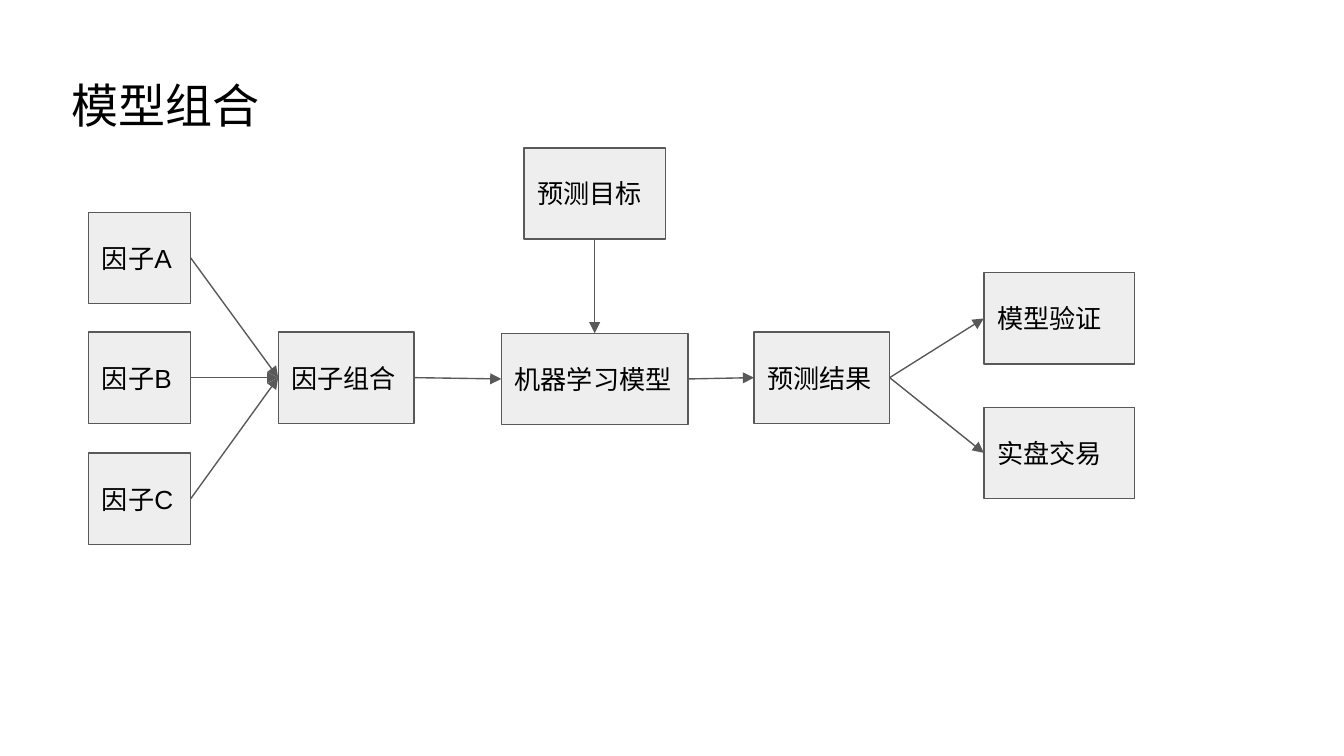
"""Build a slide showing how factors feed a machine learning model and its uses."""
from lxml import etree
from pptx import Presentation
from pptx import util as u
from pptx.dml.color import RGBColor
from pptx.enum import shapes, text
from pptx.oxml import ns

COLOURS = {"text": "000000", "fill": "EEEEEE", "line": "595959"}
BOX_HEIGHT = 0.68
TOP, LEFT, BOTTOM, RIGHT = range(4)


def write_text(shape, words, size, anchor):
    frame = shape.text_frame
    formats = {"word_wrap": True, "auto_size": text.MSO_AUTO_SIZE.NONE, "vertical_anchor": anchor}
    formats.update({f"margin_{side}": u.Inches(0.1) for side in ("left", "top", "right", "bottom")})
    for name, value in formats.items():
        setattr(frame, name, value)
    para = frame.paragraphs[0]
    para.alignment = text.PP_ALIGN.LEFT
    span = para.add_run()
    span.text = words
    for name, value in {"name": "Arial", "size": u.Pt(size)}.items():
        setattr(span.font, name, value)
    span.font.color.rgb = RGBColor.from_string(COLOURS["text"])


def draw_line(line):
    line.color.rgb = RGBColor.from_string(COLOURS["line"])
    line.width = u.Pt(0.75)


deck = Presentation()
deck.slide_width, deck.slide_height = u.Inches(10), u.Inches(10 * 9 / 16)
page = deck.slides.add_slide(deck.slide_layouts[5])

title = page.shapes.title
for name, value in {"left": 0.43, "top": 0.47, "width": 9.32, "height": 0.63}.items():
    setattr(title, name, u.Inches(value))
write_text(title, "模型组合", 25.2, text.MSO_ANCHOR.TOP)

nodes = [(f"因子{letter}", 0.66, top, 0.76) for letter, top in zip("ABC", (1.58, 2.47, 3.37))]
nodes += [
    ("因子组合", 2.07, 2.47, 1.01),
    ("机器学习模型", 3.73, 2.48, 1.39),
    ("预测目标", 3.9, 1.1, 1.05),
    ("预测结果", 5.61, 2.47, 1.01),
    ("模型验证", 7.32, 2.03, 1.12),
    ("实盘交易", 7.32, 3.03, 1.12),
]
boxes = {}
for words, left, top, width in nodes:
    box = page.shapes.add_shape(
        shapes.MSO_SHAPE.RECTANGLE, *map(u.Inches, (left, top, width, BOX_HEIGHT)))
    box.shadow.inherit = False
    box.fill.solid()
    box.fill.fore_color.rgb = RGBColor.from_string(COLOURS["fill"])
    draw_line(box.line)
    write_text(box, words, 14, text.MSO_ANCHOR.MIDDLE)
    boxes[words] = box

links = [(f"因子{letter}", RIGHT, "因子组合", LEFT) for letter in "ABC"]
links += [
    ("因子组合", RIGHT, "机器学习模型", LEFT),
    ("预测目标", BOTTOM, "机器学习模型", TOP),
    ("机器学习模型", RIGHT, "预测结果", LEFT),
    ("预测结果", RIGHT, "模型验证", LEFT),
    ("预测结果", RIGHT, "实盘交易", LEFT),
]
for source, source_side, target, target_side in links:
    arrow = page.shapes.add_connector(shapes.MSO_CONNECTOR.STRAIGHT, 0, 0, 0, 0)
    arrow.begin_connect(boxes[source], source_side)
    arrow.end_connect(boxes[target], target_side)
    draw_line(arrow.line)
    outline = arrow.line._get_or_add_ln()
    etree.SubElement(outline, ns.qn("a:tailEnd"), type="triangle")
    etree.SubElement(outline.getparent(), ns.qn("a:effectLst"))

deck.save("out.pptx")
